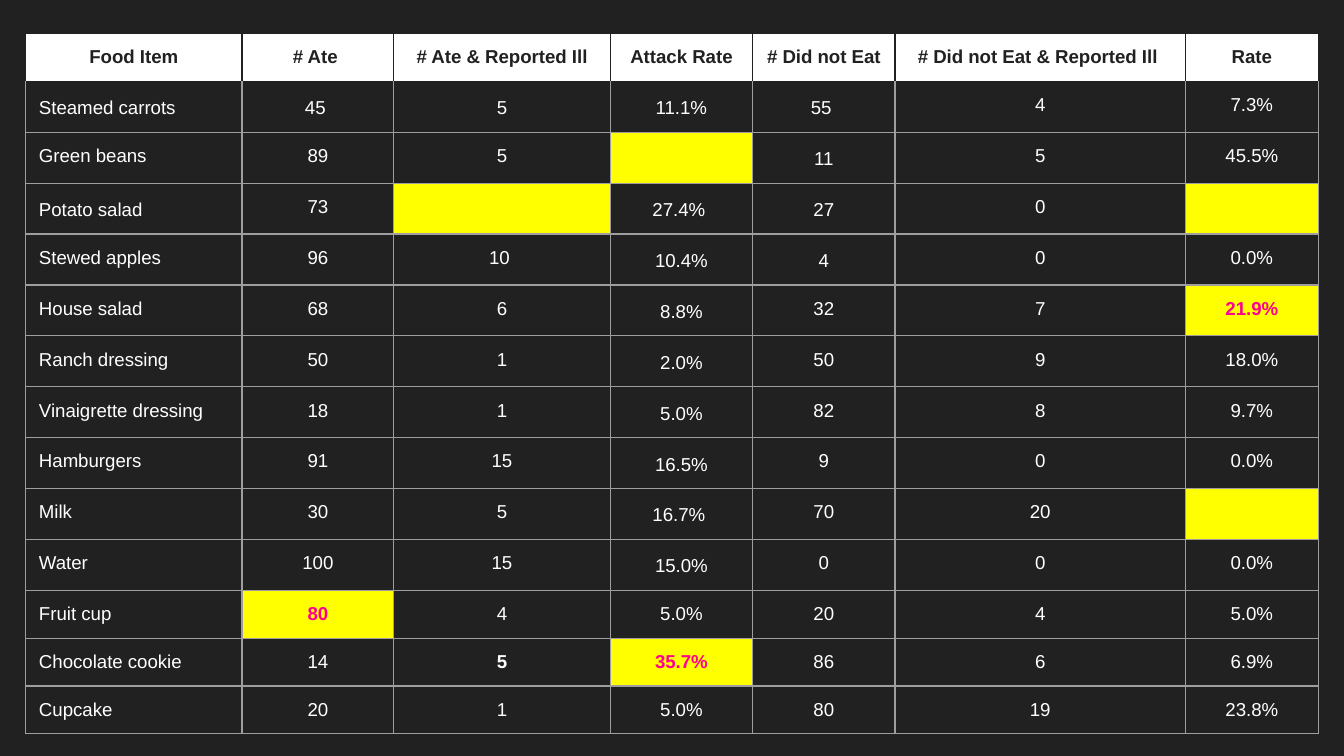
from lxml import etree
from pptx import Presentation
from pptx import util as u
from pptx.dml.color import RGBColor
from pptx.enum import text
from pptx.oxml import ns

DARK, WHITE, GRID = "212121", "FFFFFF", "9E9E9E"
YELLOW, PINK = "FFFF00", "FF0091"

SLIDE_WIDTH = 10
COLUMN_WIDTHS = [1.61, 1.13, 1.61, 1.06, 1.06, 2.16, 0.99]
ROW_HEIGHT = 0.35
FOOD_ROWS = [
    ["Food Item", "# Ate ", "# Ate & Reported Ill", "Attack Rate",
     "# Did not Eat ", "# Did not Eat & Reported Ill ", "Rate"],
    ["Steamed carrots", "45 ", "5", "11.1%", "55 ", "4", "7.3%"],
    ["Green beans", "89", "5", "", "11", "5", "45.5%"],
    ["Potato salad", "73", "", "27.4% ", "27", "0", ""],
    ["Stewed apples", "96", "10 ", "10.4%", "4", "0", "0.0%"],
    ["House salad", "68", "6", "8.8%", "32", "7", "21.9%"],
    ["Ranch dressing", "50", "1", "2.0%", "50", "9", "18.0%"],
    ["Vinaigrette dressing", "18", "1", "5.0%", "82", "8", "9.7%"],
    ["Hamburgers", "91", "15", "16.5%", "9", "0", "0.0%"],
    ["Milk", "30", "5", "16.7% ", "70", "20", ""],
    ["Water", "100", "15", "15.0%", "0", "0", "0.0%"],
    ["Fruit cup", "80", "4", "5.0%", "20", "4", "5.0%"],
    ["Chocolate cookie", "14", "5", "35.7%", "86", "6", "6.9%"],
    ["Cupcake", "20", "1", "5.0%", "80", "19", "23.8%"],
]
# Cells by (row, column)
ANSWERS = {(5, 6), (11, 1), (12, 3)}
BOLD_VALUES = ANSWERS | {(12, 2)}
LOOSE_COLUMNS = {1: range(5), 2: [4], 3: [0, 3, 4], 4: [3, 4],
                 **{row: [3] for row in range(5, 11)}}


def rgb(hex_code):
    return RGBColor.from_string(hex_code)


def apply_format(target, values):
    for name, value in values.items():
        setattr(target, name, value)


class FoodSlide:
    font_name = "Arial"
    font_size = u.Pt(10)
    inset = u.Inches(0.1)
    border_width = u.Pt(0.75)

    def __init__(self, slide):
        self.slide = slide

    def background(self, color):
        fill = self.slide.background.fill
        fill.solid()
        fill.fore_color.rgb = rgb(color)

    def borders(self, cell, colors):
        """Draw the cell's edges; colors maps L, R, T, B to hex codes."""
        properties = cell._tc.get_or_add_tcPr()
        for side, color in colors.items():
            line = etree.SubElement(properties, ns.qn(f"a:ln{side}"),
                                    w=str(self.border_width))
            solid = etree.SubElement(line, ns.qn("a:solidFill"))
            etree.SubElement(solid, ns.qn("a:srgbClr"), val=color)

    def cell(self, cell, words, color, fill, bold, centered, loose):
        apply_format(cell, {f"margin_{side}": self.inset
                            for side in ("left", "right", "top", "bottom")})
        if fill:
            cell.fill.solid()
            cell.fill.fore_color.rgb = rgb(fill)
        else:
            cell.fill.background()
        paragraph = cell.text_frame.paragraphs[0]
        align = text.PP_ALIGN
        paragraph.alignment = align.CENTER if centered else align.LEFT
        if loose:
            apply_format(paragraph, {"line_spacing": 1.15,
                                     "space_after": u.Pt(12)})
        if not words:
            # An empty cell keeps its row low only with a small end mark
            end_mark = etree.SubElement(paragraph._p, ns.qn("a:endParaRPr"))
            end_mark.set("sz", str(int(self.font_size.pt * 100)))
            return
        run = paragraph.add_run()
        run.text = words
        apply_format(run.font, {"name": self.font_name,
                                "size": self.font_size, "bold": bold})
        run.font.color.rgb = rgb(color)

    def table(self, left, top, widths, row_height, rows):
        table = self.slide.shapes.add_table(
            len(rows), len(widths), u.Inches(left), u.Inches(top),
            u.Inches(sum(widths)), u.Inches(row_height * len(rows))).table
        apply_format(table, {"first_row": False, "horz_banding": False})
        for column, width in zip(table.columns, widths):
            column.width = u.Inches(width)
        for r, values in enumerate(rows):
            table.rows[r].height = u.Inches(row_height)
            header = r == 0
            edge = DARK if header else GRID
            for c, words in enumerate(values):
                cell = table.cell(r, c)
                self.borders(cell, {"L": edge, "R": edge,
                                    "T": DARK if r < 2 else GRID, "B": edge})
                answer = (r, c) in ANSWERS
                color = DARK if header else PINK if answer else WHITE
                fill = (WHITE if header
                        else YELLOW if answer or not words else None)
                self.cell(cell, words, color, fill,
                          bold=header or (r, c) in BOLD_VALUES,
                          centered=header or c > 0,
                          loose=c in LOOSE_COLUMNS.get(r, []))


def main():
    deck = Presentation()
    apply_format(deck, {"slide_width": u.Inches(SLIDE_WIDTH),
                        "slide_height": u.Inches(SLIDE_WIDTH * 9 / 16)})
    page = FoodSlide(deck.slides.add_slide(deck.slide_layouts[6]))
    page.background(DARK)
    page.table(0.19, 0.25, COLUMN_WIDTHS, ROW_HEIGHT, FOOD_ROWS)
    deck.save("out.pptx")


if __name__ == "__main__":
    main()
